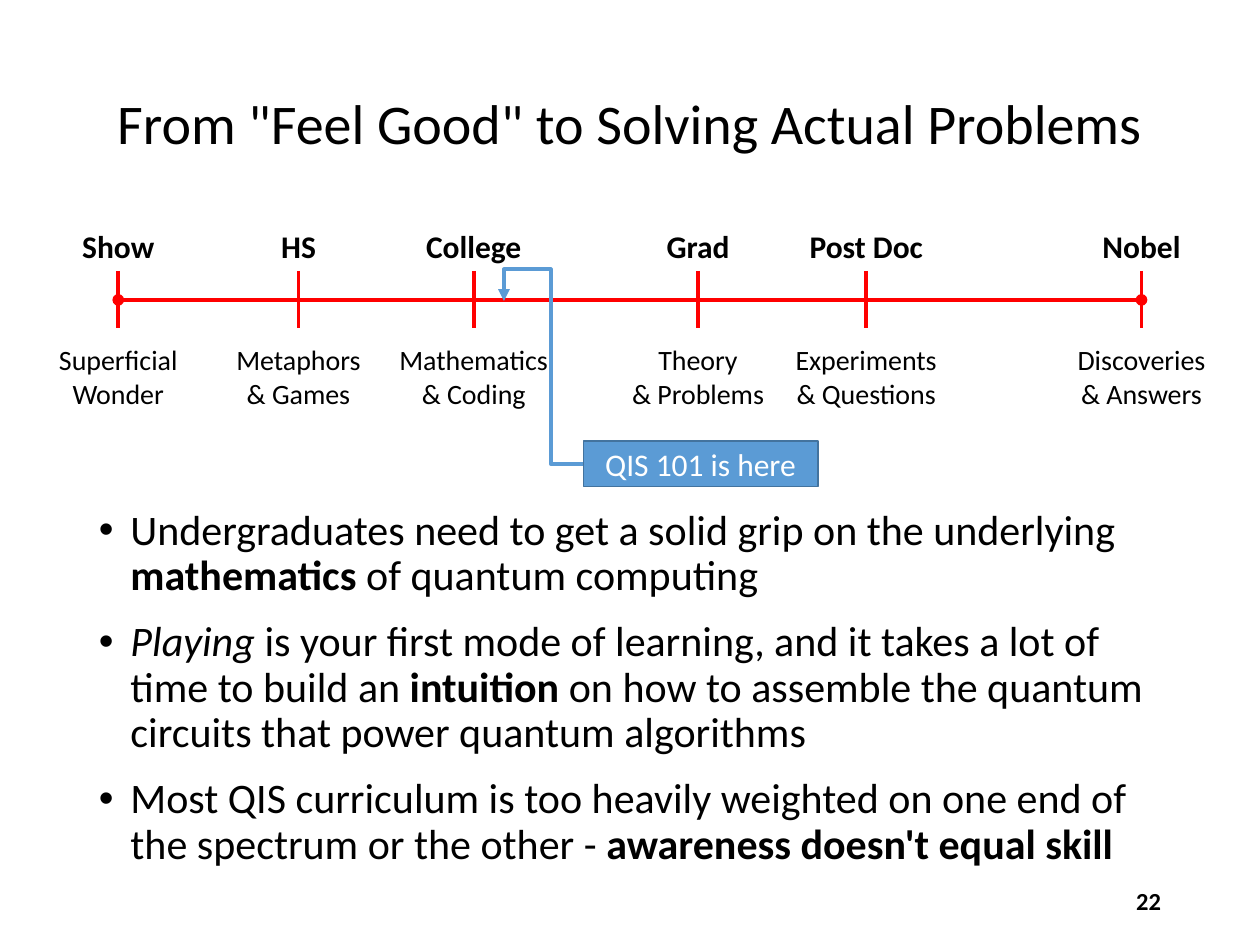
from lxml.etree import SubElement
from pptx import Presentation
from pptx.dml.color import RGBColor
from pptx.enum.shapes import MSO_CONNECTOR, MSO_SHAPE
from pptx.enum.text import MSO_ANCHOR, PP_ALIGN
from pptx.oxml.ns import qn
from pptx.util import Pt

BLACK = RGBColor(0, 0, 0)
WHITE = RGBColor(255, 255, 255)
RED = RGBColor(255, 0, 0)
BLUE = RGBColor(0x5B, 0x9B, 0xD5)
NAVY = RGBColor(0x43, 0x73, 0x9E)
FONT = "Calibri"

AXIS = 171.4
TICK = (154.8, 187.2)
# centre, stage, lines below, width of the lower label
STAGES = [
    (67.6, "Show", ["Superficial", "Wonder"], 93.6),
    (170.6, "HS", ["Metaphors & Games"], 93.6),
    (270.7, "College", ["Mathematics", "& Coding"], 101.5),
    (398.9, "Grad", ["Theory", "& Problems"], 93.6),
    (495, "Post Doc", ["Experiments", "& Questions"], 115.2),
    (652.3, "Nobel", ["Discoveries", "& Answers"], 103),
]
# each point is a list of (text, style), style being "", "b" or "i"
POINTS = [
    [("Undergraduates need to get a solid grip on the underlying ", ""),
     ("mathematics", "b"), (" of quantum computing", "")],
    [("Playing", "i"),
     (" is your first mode of learning, and it takes a lot of time to build an ", ""),
     ("intuition", "b"),
     (" on how to assemble the quantum circuits that power quantum algorithms", "")],
    [("Most QIS curriculum is too heavily weighted on one end of the spectrum "
      "or the other - ", ""), ("awareness doesn't equal skill", "b")],
]


def style(para, size, color=BLACK, bold=False, align=PP_ALIGN.CENTER):
    para.alignment = align
    font = para.font
    font.name, font.size, font.bold = FONT, Pt(size), bold
    font.color.rgb = color


def add_text(slide, box, lines, size, bold=False, align=PP_ALIGN.CENTER,
             anchor=MSO_ANCHOR.TOP):
    frame = slide.shapes.add_textbox(*map(Pt, box)).text_frame
    frame.word_wrap = True
    frame.vertical_anchor = anchor
    frame.text = "\n".join(lines)
    for para in frame.paragraphs:
        style(para, size, bold=bold, align=align)
    return frame


def add_line(slide, start, end, color, kind=MSO_CONNECTOR.STRAIGHT, head=None, tail=None):
    line = slide.shapes.add_connector(kind, *map(Pt, start + end))
    line.line.color.rgb = color
    line.line.width = Pt(2.25)
    props = line.line._get_or_add_ln()
    for tag, tip in (("a:headEnd", head), ("a:tailEnd", tail)):
        if tip:
            SubElement(props, qn(tag), type=tip)
    SubElement(line._element.spPr, qn("a:effectLst"))
    return line


def add_stage(slide, mid, name, lines, width):
    add_line(slide, (mid, TICK[0]), (mid, TICK[1]), RED)
    add_text(slide, (mid - 39.5, 126, 79, 29), [name], 18, bold=True)
    add_text(slide, (mid - width / 2, 192.2, width, 46), lines, 16)


def add_points(slide, box):
    frame = add_text(slide, box, [""] * len(POINTS), 24, align=PP_ALIGN.LEFT)
    for para, runs in zip(frame.paragraphs, POINTS):
        props = para._p.get_or_add_pPr()
        props.set("marL", str(Pt(18)))
        props.set("indent", str(Pt(-18)))
        props.remove(props.find(qn("a:defRPr")))
        SubElement(props, qn("a:buFont"), typeface="Arial")
        SubElement(props, qn("a:buChar"), char="•")
        style(para, 24, align=PP_ALIGN.LEFT)
        para.line_spacing = 0.9
        para.space_after = Pt(12)
        for text, look in runs:
            run = para.add_run()
            run.text = text
            if look == "b":
                run.font.bold = True
            elif look == "i":
                run.font.italic = True


def add_marker(slide):
    """Box whose bent arrow leads up over the axis and down onto it."""
    box = slide.shapes.add_shape(MSO_SHAPE.RECTANGLE, *map(Pt, (333.4, 252, 133.9, 26)))
    box.shadow.inherit = False
    box.fill.solid()
    box.fill.fore_color.rgb = BLUE
    box.line.color.rgb = NAVY
    box.line.width = Pt(1)
    frame = box.text_frame
    frame.vertical_anchor = MSO_ANCHOR.MIDDLE
    frame.text = "QIS 101 is here"
    style(frame.paragraphs[0], 18, WHITE)

    arrow = add_line(slide, (333.4, 265), (288, 172), BLUE, MSO_CONNECTOR.ELBOW,
                     tail="triangle")
    arrow.begin_connect(box, 1)
    shape = arrow._element.spPr.find(qn("a:prstGeom"))
    shape.set("prst", "bentConnector4")
    guides = shape.find(qn("a:avLst"))
    for name, value in (("adj1", 41300), ("adj2", 119400)):
        SubElement(guides, qn("a:gd"), name=name, fmla=f"val {value}")


def main():
    deck = Presentation()
    deck.slide_width, deck.slide_height = Pt(720), Pt(540)
    slide = deck.slides.add_slide(deck.slide_layouts[6])

    title = add_text(slide, (49.5, 28.8, 621, 87),
                     ['From "Feel Good" to Solving Actual Problems'], 32,
                     anchor=MSO_ANCHOR.MIDDLE)
    title.paragraphs[0].line_spacing = 0.9
    add_text(slide, (508.5, 500.5, 162, 28.8), ["22"], 14, bold=True,
             align=PP_ALIGN.RIGHT, anchor=MSO_ANCHOR.MIDDLE)
    add_line(slide, (STAGES[0][0], AXIS), (STAGES[-1][0], AXIS), RED,
             head="oval", tail="oval")
    for stage in STAGES:
        add_stage(slide, *stage)
    add_points(slide, (49.5, 287.3, 621, 213))
    add_marker(slide)
    deck.save("out.pptx")


if __name__ == "__main__":
    main()
